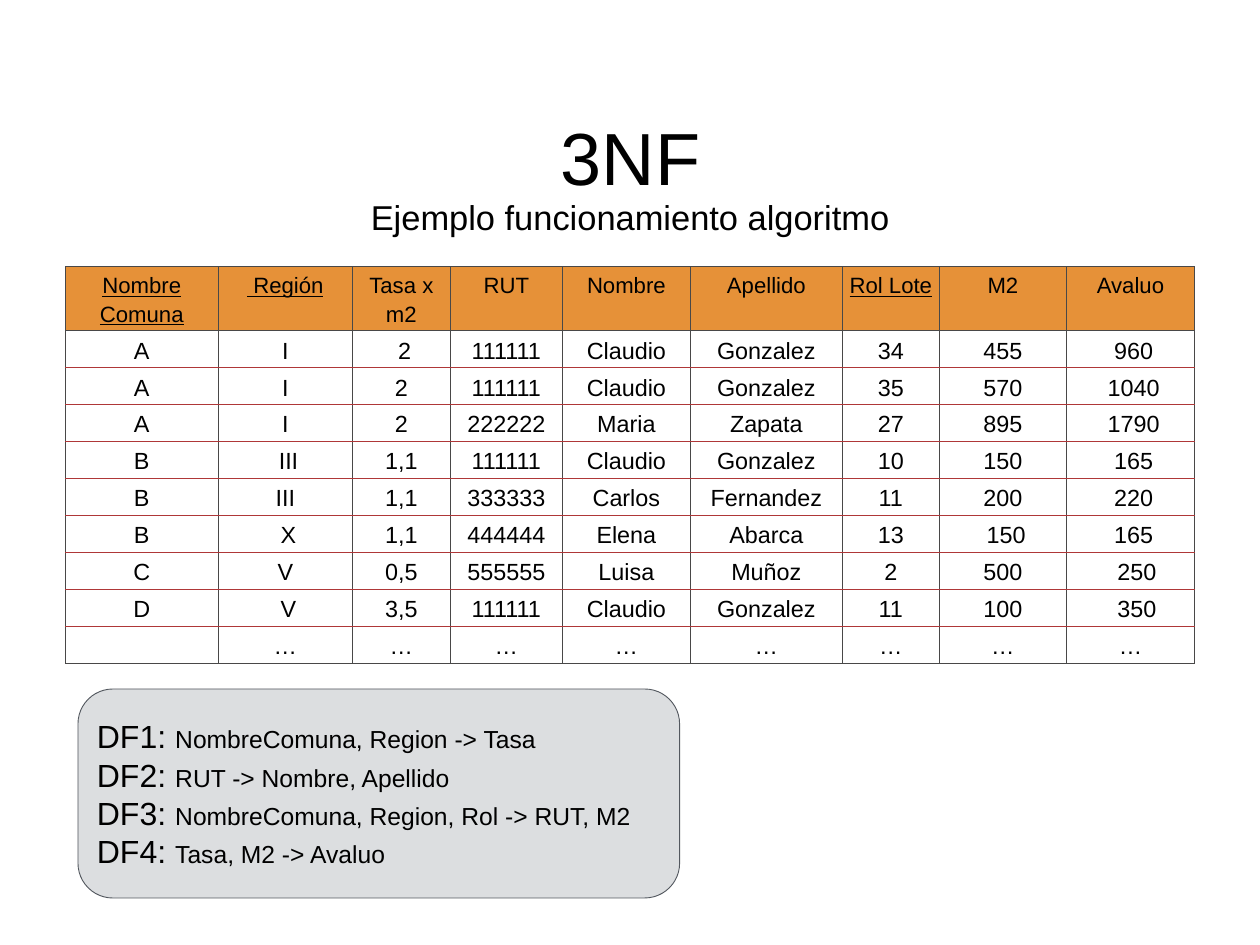
from lxml import etree
from pptx import Presentation
from pptx import util as u
from pptx.dml import color
from pptx.enum import shapes, text
from pptx.oxml import ns

FONT = "Arial"
BLACK = "000000"
ORANGE = "E69138"
GRAY = "494848"
RED = "AF3738"
PANEL_FILL = "DCDEE0"
PANEL_LINE = "53585F"

COLUMN_WIDTHS = [1.72, 1.52, 1.1, 1.27, 1.44, 1.72, 1.09, 1.44, 1.44]
HEADER_HEIGHT, ROW_HEIGHT = 0.72, 0.39
HEADERS = ["Nombre\nComuna", " Región", "Tasa x m2", "RUT", "Nombre",
           "Apellido", "Rol Lote", "M2", "Avaluo"]
KEY_COLUMNS = {0, 1, 6}
LOTS = [
    "A|I| 2|111111|Claudio|Gonzalez|34|455| 960",
    "A|I|2|111111|Claudio|Gonzalez|35|570| 1040",
    "A|I|2|222222|Maria|Zapata|27|895| 1790",
    "B| III|1,1|111111|Claudio|Gonzalez|10|150| 165",
    "B|III|1,1|333333|Carlos|Fernandez|11|200| 220",
    "B| X|1,1|444444|Elena|Abarca|13| 150| 165",
    "C|V|0,5|555555|Luisa|Muñoz|2|500|  250",
    "D| V|3,5|111111|Claudio|Gonzalez|11|100|  350",
]
DEPENDENCIES = [
    ("DF1: ", "NombreComuna, Region -> Tasa"),
    ("DF2: ", "RUT -> Nombre, Apellido"),
    ("DF3: ", "NombreComuna, Region, Rol -> RUT, M2"),
    ("DF4: ", "Tasa, M2 -> Avaluo"),
]


def rgb(value):
    return color.RGBColor.from_string(value)


def add_run(paragraph, words, size, underline=None):
    run = paragraph.add_run()
    run.text = words
    run.font.name = FONT
    run.font.size = u.Pt(size)
    run.font.underline = underline
    run.font.color.rgb = rgb(BLACK)


def set_margins(holder, inset):
    holder.margin_left = holder.margin_right = u.Inches(inset)
    holder.margin_top = holder.margin_bottom = u.Inches(inset)


def paragraphs_for(frame, items):
    for index, item in enumerate(items):
        yield (frame.add_paragraph() if index else frame.paragraphs[0]), item


def add_heading(slide, left, top, width, height, words, size):
    box = slide.shapes.add_textbox(*map(u.Inches, (left, top, width, height)))
    frame = box.text_frame
    frame.word_wrap = True
    frame.auto_size = text.MSO_AUTO_SIZE.SHAPE_TO_FIT_TEXT
    frame.vertical_anchor = text.MSO_ANCHOR.MIDDLE
    set_margins(frame, 0.06)
    paragraph = frame.paragraphs[0]
    paragraph.alignment = text.PP_ALIGN.CENTER
    add_run(paragraph, words, size)


def set_borders(cell, top, bottom):
    properties = cell._tc.get_or_add_tcPr()
    sides = {"L": GRAY, "R": GRAY, "T": top, "B": bottom}
    for side, line_color in sides.items():
        line = etree.SubElement(properties, ns.qn(f"a:ln{side}"), w=str(u.Pt(0.75)))
        fill = etree.SubElement(line, ns.qn("a:solidFill"))
        etree.SubElement(fill, ns.qn("a:srgbClr"), val=line_color)


def fill_cell(cell, words, size, underline):
    set_margins(cell, 0.04)
    for paragraph, line in paragraphs_for(cell.text_frame, words.split("\n")):
        paragraph.alignment = text.PP_ALIGN.CENTER
        paragraph.line_spacing = 1.15
        if line:
            add_run(paragraph, line, size, underline)


def add_lot_table(slide, left, top):
    rows = [HEADERS] + [lot.split("|") for lot in LOTS]
    rows.append([""] + ["…"] * (len(HEADERS) - 1))
    last = len(rows) - 1
    height = HEADER_HEIGHT + last * ROW_HEIGHT
    table = slide.shapes.add_table(
        len(rows), len(HEADERS), u.Inches(left), u.Inches(top),
        u.Inches(sum(COLUMN_WIDTHS)), u.Inches(height)).table
    table.first_row = table.horz_banding = False
    for column, width in zip(table.columns, COLUMN_WIDTHS):
        column.width = u.Inches(width)
    for r, row in enumerate(rows):
        is_header = r == 0
        table.rows[r].height = u.Inches(HEADER_HEIGHT if is_header else ROW_HEIGHT)
        for c, words in enumerate(row):
            cell = table.cell(r, c)
            underline = True if is_header and c in KEY_COLUMNS else None
            fill_cell(cell, words, 18 if is_header else 19, underline)
            set_borders(cell, GRAY if r <= 1 else RED,
                        GRAY if r in (0, last) else RED)
            if is_header:
                cell.fill.solid()
                cell.fill.fore_color.rgb = rgb(ORANGE)
            else:
                cell.fill.background()


def add_dependency_panel(slide, left, top, width, height):
    panel = slide.shapes.add_shape(shapes.MSO_SHAPE.ROUNDED_RECTANGLE,
                                   *map(u.Inches, (left, top, width, height)))
    panel.shadow.inherit = False
    panel.fill.solid()
    panel.fill.fore_color.rgb = rgb(PANEL_FILL)
    panel.line.color.rgb = rgb(PANEL_LINE)
    panel.line.width = u.Pt(0.75)
    frame = panel.text_frame
    frame.word_wrap = True
    frame.vertical_anchor = text.MSO_ANCHOR.MIDDLE
    set_margins(frame, 0.1)
    for paragraph, (label, rule) in paragraphs_for(frame, DEPENDENCIES):
        paragraph.alignment = text.PP_ALIGN.LEFT
        add_run(paragraph, label, 26)
        add_run(paragraph, rule, 20)


def main():
    presentation = Presentation()
    presentation.slide_width = u.Inches(14.22)
    presentation.slide_height = u.Inches(10.67)
    slide = presentation.slides.add_slide(presentation.slide_layouts[6])
    add_lot_table(slide, 0.74, 3.01)
    add_heading(slide, 5.12, 1.2, 3.99, 1.12, "3NF", 60)
    add_dependency_panel(slide, 0.88, 7.78, 6.79, 2.36)
    add_heading(slide, 2.29, 2.16, 9.64, 0.58, "Ejemplo funcionamiento algoritmo", 28)
    presentation.save("out.pptx")


main()
